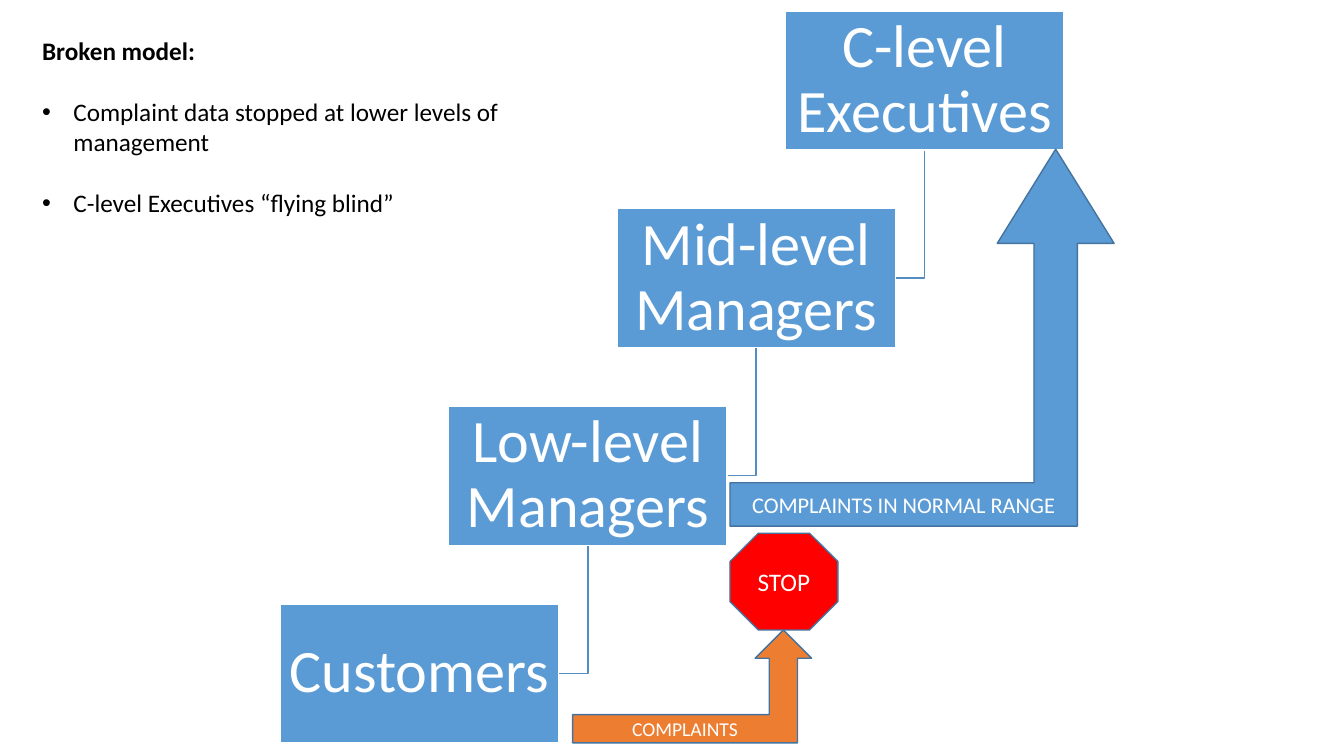
from lxml import etree
from pptx import Presentation
from pptx.dml.color import RGBColor
from pptx.enum import shapes, text
from pptx.oxml import ns
from pptx.util import Inches, Pt

FONT = "Calibri"
BLUE, ORANGE, RED = "5B9BD5", "ED7D31", "FF0000"
WHITE, BLACK = "FFFFFF", "000000"
OUTLINE, LINK = "43739E", "538DC1"

HEADING = "Broken model:"
POINTS = [
    "Complaint data stopped at lower levels of management",
    "C-level Executives “flying blind”",
]
LEVELS = ["Customers", "Low-level Managers", "Mid-level Managers", "C-level Executives"]

# Staircase: first (lowest) box, then a fixed step right and up
FIRST_LEFT, FIRST_TOP = 2.78, 5.99
STEP_RIGHT, STEP_UP = 1.67, 1.96
BOX_WIDTH, BOX_HEIGHT = 2.76, 1.38

KIND = shapes.MSO_SHAPE
# kind, position and size, fill, wording, text size, adjustments
SIGNS = [
    (KIND.BENT_UP_ARROW, (5.68, 6.25, 2.37, 1.12), ORANGE, "COMPLAINTS", 14, ()),
    (KIND.OCTAGON, (7.24, 5.29, 1.07, 0.96), RED, "STOP", 18, ()),
    (KIND.BENT_UP_ARROW, (7.24, 1.48, 3.81, 3.74), BLUE,
     "COMPLAINTS IN NORMAL RANGE", 16, (0.115, 0.155, 0.25)),
]


def color(value):
    return RGBColor.from_string(value)


def style_text(para, size, value, bold=False):
    for span in para.runs:
        span.font.name = FONT
        span.font.size = Pt(size)
        span.font.bold = bold
        span.font.color.rgb = color(value)


def style_line(shape, value):
    shape.shadow.inherit = False
    shape.line.color.rgb = color(value)
    shape.line.width = Pt(1)


def add_sign(slide, kind, place, fill, wording, size, adjustments=(), line=OUTLINE):
    shape = slide.shapes.add_shape(kind, *map(Inches, place))
    for index, value in enumerate(adjustments):
        shape.adjustments[index] = value
    shape.fill.solid()
    shape.fill.fore_color.rgb = color(fill)
    style_line(shape, line)
    frame = shape.text_frame
    frame.text = wording
    frame.word_wrap = True
    frame.vertical_anchor = text.MSO_ANCHOR.MIDDLE
    para = frame.paragraphs[0]
    para.alignment = text.PP_ALIGN.CENTER
    style_text(para, size, WHITE)
    return frame


def add_level(slide, wording, left, top):
    frame = add_sign(slide, KIND.RECTANGLE, (left, top, BOX_WIDTH, BOX_HEIGHT),
                     BLUE, wording, 43, line=WHITE)
    frame.margin_left = frame.margin_right = Inches(0.03)
    frame.margin_top = frame.margin_bottom = Inches(0.03)
    frame.paragraphs[0].line_spacing = 0.9


def add_link(slide, left, top):
    """Elbow from the right side of the box at left, top to the box above it."""
    start_x = left + STEP_RIGHT + BOX_WIDTH / 2
    start_y = top - STEP_UP + BOX_HEIGHT
    end_x, end_y = left + BOX_WIDTH, top + BOX_HEIGHT / 2
    builder = slide.shapes.build_freeform(Inches(start_x), Inches(start_y))
    builder.add_line_segments(
        [(Inches(start_x), Inches(end_y)), (Inches(end_x), Inches(end_y))], close=False)
    link = builder.convert_to_shape()
    link.fill.background()
    style_line(link, LINK)


def add_bullet(para):
    props = para._p.get_or_add_pPr()
    props.set("marL", str(Inches(0.31)))
    props.set("indent", str(-Inches(0.31)))
    etree.SubElement(props, ns.qn("a:buFont")).set("typeface", "Arial")
    etree.SubElement(props, ns.qn("a:buChar")).set("char", "•")


def add_notes_box(slide):
    box = slide.shapes.add_textbox(*map(Inches, (0.32, 0.3, 5.37, 2.22)))
    frame = box.text_frame
    frame.word_wrap = True
    frame.text = HEADING
    style_text(frame.paragraphs[0], 18, BLACK, bold=True)
    for point in POINTS:
        para = frame.add_paragraph()
        para.text = point
        para.space_before = Pt(22)
        add_bullet(para)
        style_text(para, 18, BLACK)


def main():
    deck = Presentation()
    deck.slide_width, deck.slide_height = Inches(13.33), Inches(7.5)
    slide = deck.slides.add_slide(deck.slide_layouts[6])

    corners = [(FIRST_LEFT + i * STEP_RIGHT, FIRST_TOP - i * STEP_UP)
               for i in range(len(LEVELS))]
    for corner in corners[:-1]:
        add_link(slide, *corner)
    for wording, corner in zip(LEVELS, corners):
        add_level(slide, wording, *corner)
    for sign in SIGNS:
        add_sign(slide, *sign)
    add_notes_box(slide)

    deck.save("out.pptx")


if __name__ == "__main__":
    main()
